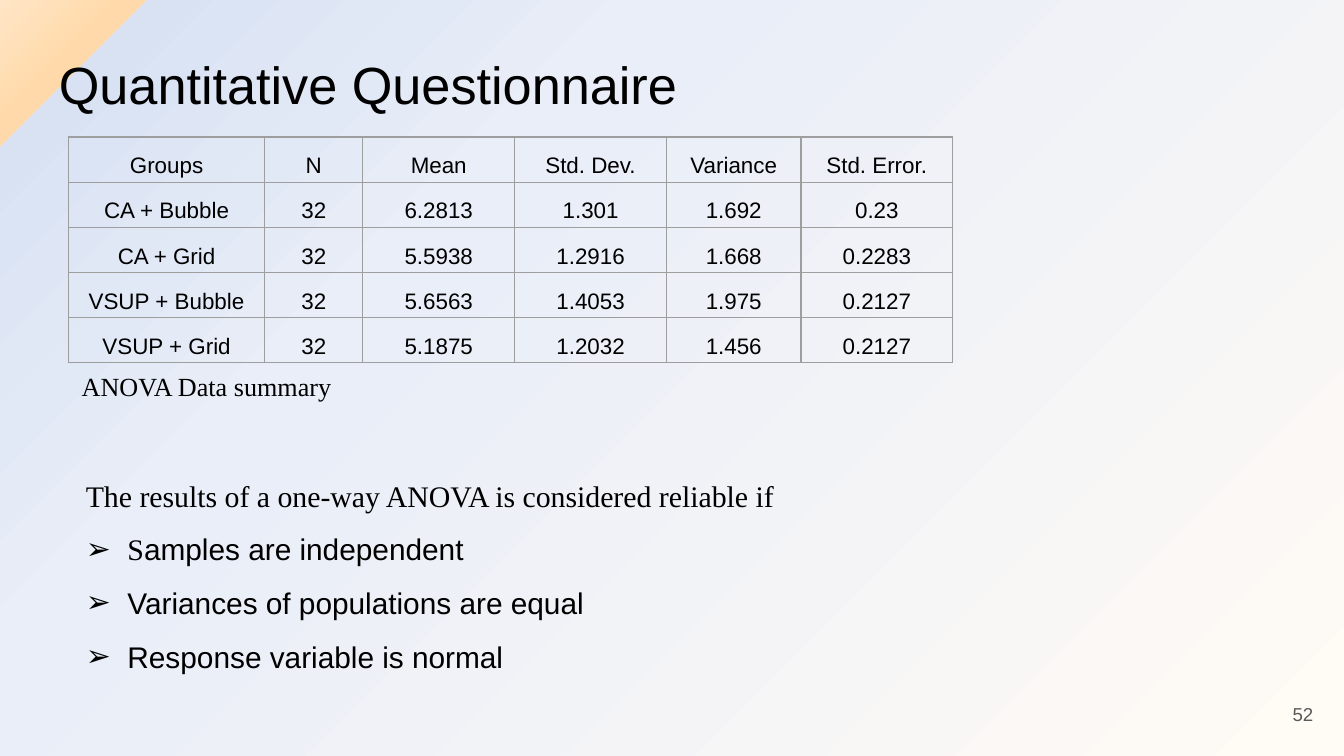
from lxml.etree import SubElement
from pptx import Presentation
from pptx.dml.color import RGBColor
from pptx.enum.text import MSO_ANCHOR, PP_ALIGN
from pptx.oxml import parse_xml
from pptx.oxml.ns import nsdecls, qn
from pptx.util import Inches, Pt

COLORS = {"text": "000000", "number": "595959", "border": "9E9E9E"}
BACKGROUND_STOPS = [(0, "FFFBF5"), (68, "E9EEF8"), (93, "D9E2F3"),
                    (93, "FFD9A9"), (94, "FFD9A9"), (100, "FFE6C6")]
SANS, SERIF = "Arial", "Times New Roman"


def style_font(font, size, name, color="text"):
    font.size = Pt(size)
    font.name = name
    font.color.rgb = RGBColor.from_string(COLORS[color])


def add_text_frame(left, top, width, height, inset_x=0.1, inset_y=0.05):
    box = slide.shapes.add_textbox(Inches(left), Inches(top), Inches(width), Inches(height))
    frame = box.text_frame
    frame.word_wrap = True
    frame.margin_left = frame.margin_right = Inches(inset_x)
    frame.margin_top = frame.margin_bottom = Inches(inset_y)
    return frame


presentation = Presentation()
presentation.slide_width = Inches(10)
presentation.slide_height = Inches(10) * 9 // 16  # widescreen 16:9
slide = presentation.slides.add_slide(presentation.slide_layouts[6])

# Background: gradient spreading from the bottom right corner
slide.background.fill.solid()
background = slide.element.find(".//" + qn("p:bgPr"))
stops = "".join(f'<a:gs pos="{position * 1000}"><a:srgbClr val="{color}"/></a:gs>'
                for position, color in BACKGROUND_STOPS)
gradient = parse_xml(
    f'<a:gradFill {nsdecls("a")}><a:gsLst>{stops}</a:gsLst><a:path path="circle">'
    '<a:fillToRect l="100000" t="100000"/></a:path></a:gradFill>')
background.replace(background.find(qn("a:solidFill")), gradient)

# Title and slide number
title = add_text_frame(0.34, 0.29, 5.5, 0.63, inset_y=0.1)
title.text = "Quantitative Questionnaire"
style_font(title.paragraphs[0].font, 28, SANS)

number = add_text_frame(9.27, 5.1, 0.6, 0.43, inset_y=0.1)
number.vertical_anchor = MSO_ANCHOR.MIDDLE
number.text = "52"
number.paragraphs[0].alignment = PP_ALIGN.RIGHT
style_font(number.paragraphs[0].font, 10, SANS, "number")

# Summary table
rows = [
    ["Groups", "N", "Mean", "Std. Dev.", "Variance", "Std. Error."],
    ["CA + Bubble", "32", "6.2813", "1.301", "1.692", "0.23"],
    ["CA + Grid", "32", "5.5938", "1.2916", "1.668", "0.2283"],
    ["VSUP + Bubble", "32", "5.6563", "1.4053", "1.975", "0.2127"],
    ["VSUP + Grid", "32", "5.1875", "1.2032", "1.456", "0.2127"],
]
column_widths = [1.46, 0.73, 1.13, 1.13, 1, 1.13]
table = slide.shapes.add_table(len(rows), len(column_widths), Inches(0.51), Inches(1.02),
                               Inches(sum(column_widths)), Inches(1.68)).table
table.first_row = table.horz_banding = False
for column, width in zip(table.columns, column_widths):
    column.width = Inches(width)
for row_index, values in enumerate(rows):
    for column_index, value in enumerate(values):
        cell = table.cell(row_index, column_index)
        cell.text = value
        cell.vertical_anchor = MSO_ANCHOR.MIDDLE
        cell.margin_left = cell.margin_right = Inches(0.07)
        cell.margin_top = cell.margin_bottom = 0
        paragraph = cell.text_frame.paragraphs[0]
        paragraph.alignment = PP_ALIGN.CENTER
        paragraph.line_spacing = 1.5
        style_font(paragraph.font, 12, SANS)
        properties = cell._tc.get_or_add_tcPr()
        for side in ("lnL", "lnR", "lnT", "lnB"):
            border = SubElement(properties, qn(f"a:{side}"), w=str(Pt(0.75)))
            border_fill = SubElement(border, qn("a:solidFill"))
            SubElement(border_fill, qn("a:srgbClr"), val=COLORS["border"])
        cell.fill.background()

caption = add_text_frame(0.51, 2.71, 2.17, 0.34)
caption.word_wrap = False
caption.text = "ANOVA Data summary"
style_font(caption.paragraphs[0].font, 14, SERIF)

# Conditions: each line is a list of (text, font) runs, all but the first bulleted
conditions = [
    [("The results of a one-way ANOVA is considered reliable if", SERIF)],
    [("S", SERIF), ("amples are independent", SANS)],
    [("Variances of populations are equal", SANS)],
    [("Response variable is normal", SANS)],
]
body = add_text_frame(0.54, 3.37, 5.78, 2.07)
for index, runs in enumerate(conditions):
    paragraph = body.add_paragraph() if index else body.paragraphs[0]
    paragraph.line_spacing = 1.5
    if index:
        properties = paragraph._p.get_or_add_pPr()
        properties.set("marL", str(Inches(0.31)))
        properties.set("indent", str(-Inches(0.31)))
        bullet_color = SubElement(properties, qn("a:buClr"))
        SubElement(bullet_color, qn("a:srgbClr"), val=COLORS["text"])
        SubElement(properties, qn("a:buFont"), typeface=SANS)
        SubElement(properties, qn("a:buChar"), char="➢")
    style_font(paragraph.font, 16, runs[0][1])
    for text, font_name in runs:
        run = paragraph.add_run()
        run.text = text
        if font_name != runs[0][1]:
            run.font.name = font_name

presentation.save("out.pptx")
